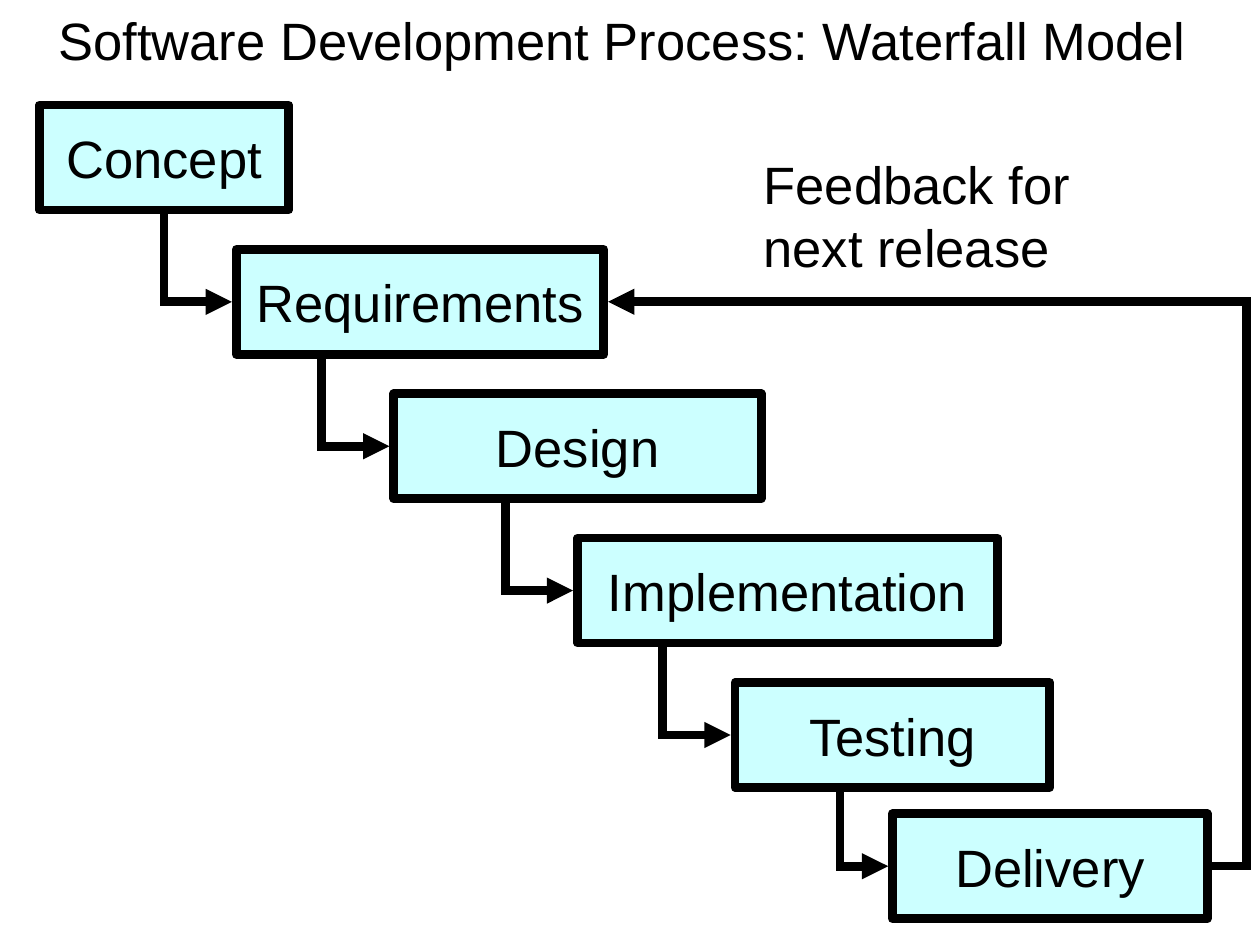
"""Build a slide showing the waterfall model as a staircase of stages."""
from dataclasses import dataclass
from itertools import pairwise

import lxml.etree
import pptx
import pptx.dml.color
import pptx.enum.shapes
import pptx.enum.text
import pptx.oxml.ns
import pptx.util

SLIDE_WIDTH, SLIDE_HEIGHT = 8, 6
COLUMNS, ROWS = 96, 72
STAGE_HEIGHT = 8
ARROW_GAP = 0.33
DROP_INSET = 5.5
INK, STAGE_FILL = "000000", "CCFFFF"
LINE_WIDTH = 4


@dataclass
class Stage:
    name: str
    column: float
    row: float
    width: float

    @property
    def right(self) -> float:
        return self.column + self.width

    @property
    def bottom(self) -> float:
        return self.row + STAGE_HEIGHT

    @property
    def middle(self) -> float:
        return self.row + STAGE_HEIGHT / 2


STAGES = [
    Stage("Concept", 3, 8, 19),
    Stage("Requirements", 18, 19, 28),
    Stage("Design", 30, 30, 28),
    Stage("Implementation", 44, 41, 32),
    Stage("Testing", 56, 52, 24),
    Stage("Delivery", 68, 62, 24),
]


def across(columns: float) -> int:
    """Convert grid columns to a length."""
    return pptx.util.Inches(columns * SLIDE_WIDTH / COLUMNS)


def down(rows: float) -> int:
    """Convert grid rows to a length."""
    return pptx.util.Inches(rows * SLIDE_HEIGHT / ROWS)


def colour(value: str) -> pptx.dml.color.RGBColor:
    """Turn a hex string into a colour."""
    return pptx.dml.color.RGBColor.from_string(value)


def write(box, text: str, *, centred: bool = True, wrap: bool = False, middle: bool = False) -> None:
    """Put one formatted paragraph in a box."""
    frame = box.text_frame
    frame.word_wrap = wrap
    anchors = pptx.enum.text.MSO_ANCHOR
    frame.vertical_anchor = anchors.MIDDLE if middle else anchors.TOP
    para = frame.paragraphs[0]
    alignments = pptx.enum.text.PP_ALIGN
    para.alignment = alignments.CENTER if centred else alignments.LEFT
    span = para.add_run()
    span.text = text
    span.font.name = "Arial"
    span.font.size = pptx.util.Pt(24)
    span.font.color.rgb = colour(INK)


def add_label(page, text: str, column: float, row: float, width: float, height: float, **style) -> None:
    """Add a text box placed on the grid."""
    box = page.shapes.add_textbox(across(column), down(row), across(width), down(height))
    write(box, text, **style)


def add_stage(page, stage: Stage) -> None:
    """Draw the box of one stage."""
    box = page.shapes.add_shape(
        pptx.enum.shapes.MSO_SHAPE.RECTANGLE,
        across(stage.column), down(stage.row), across(stage.width), down(STAGE_HEIGHT))
    box.shadow.inherit = False
    box.fill.solid()
    box.fill.fore_color.rgb = colour(STAGE_FILL)
    box.line.color.rgb = colour(INK)
    box.line.width = pptx.util.Pt(LINE_WIDTH)
    write(box, stage.name, middle=True)


def add_elbow(page, start: tuple[float, float], end: tuple[float, float]):
    """Add a bent arrow between two grid points."""
    arrow = page.shapes.add_connector(
        pptx.enum.shapes.MSO_CONNECTOR.ELBOW,
        across(start[0]), down(start[1]), across(end[0]), down(end[1]))
    arrow.line.color.rgb = colour(INK)
    arrow.line.width = pptx.util.Pt(LINE_WIDTH)
    qualify = pptx.oxml.ns.qn
    properties = arrow._element.spPr
    line = properties.find(qualify("a:ln"))
    lxml.etree.SubElement(line, qualify("a:miter"), lim="800000")
    lxml.etree.SubElement(line, qualify("a:tailEnd"), type="triangle")
    lxml.etree.SubElement(properties, qualify("a:effectLst"))
    return arrow


def add_drop_arrow(page, start: tuple[float, float], end: tuple[float, float]) -> None:
    """Draw an arrow that goes down, then right, as a turned one-bend connector."""
    centre_x, centre_y = (start[0] + end[0]) / 2, (start[1] + end[1]) / 2
    half_x, half_y = (end[0] - start[0]) / 2, (end[1] - start[1]) / 2
    arrow = add_elbow(page, (centre_x + half_y, centre_y - half_x),
                      (centre_x - half_y, centre_y + half_x))
    properties = arrow._element.spPr
    properties.find(pptx.oxml.ns.qn("a:xfrm")).set("rot", str(270 * 60000))
    properties.find(pptx.oxml.ns.qn("a:prstGeom")).set("prst", "bentConnector2")


def add_side_arrow(page, start: tuple[float, float], end: tuple[float, float], turn: float) -> None:
    """Draw an arrow with a vertical leg at the given column."""
    arrow = add_elbow(page, start, end)
    share = (turn - start[0]) / (end[0] - start[0])
    qualify = pptx.oxml.ns.qn
    guides = arrow._element.spPr.find(qualify("a:prstGeom")).get_or_add_avLst()
    lxml.etree.SubElement(guides, qualify("a:gd"), name="adj1", fmla=f"val {round(share * 100000)}")


def main() -> None:
    """Build and save the deck."""
    deck = pptx.Presentation()
    deck.slide_width = pptx.util.Inches(SLIDE_WIDTH)
    deck.slide_height = pptx.util.Inches(SLIDE_HEIGHT)
    page = deck.slides.add_slide(deck.slide_layouts[6])

    add_label(page, "Software Development Process: Waterfall Model", 3.2, 0, 88.4, 6)
    add_label(page, "Feedback for next release", 57, 11, 34, 10.8, centred=False, wrap=True)
    for stage in STAGES:
        add_stage(page, stage)

    for upper, lower in pairwise(STAGES[:-1]):
        add_drop_arrow(page, (lower.column - DROP_INSET, upper.bottom + ARROW_GAP),
                       (lower.column - ARROW_GAP, lower.middle))

    requirements, testing, delivery = STAGES[1], STAGES[-2], STAGES[-1]
    add_side_arrow(page, (testing.column + 4, testing.bottom),
                   (delivery.column - ARROW_GAP, delivery.middle), turn=delivery.column - 4)
    add_side_arrow(page, (delivery.right + ARROW_GAP, delivery.middle),
                   (requirements.right + ARROW_GAP, requirements.middle), turn=delivery.right + 3)
    deck.save("out.pptx")


if __name__ == "__main__":
    main()
